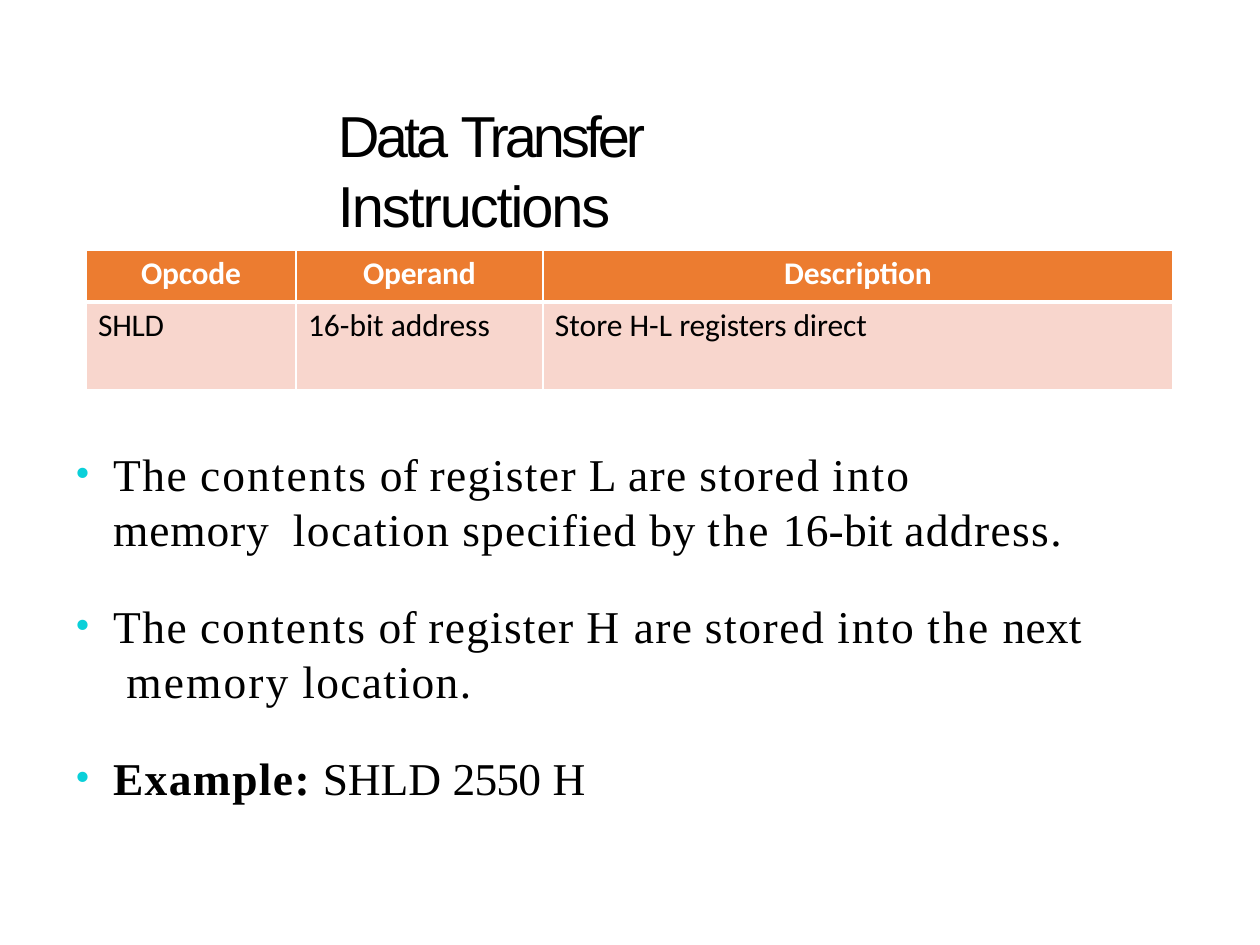
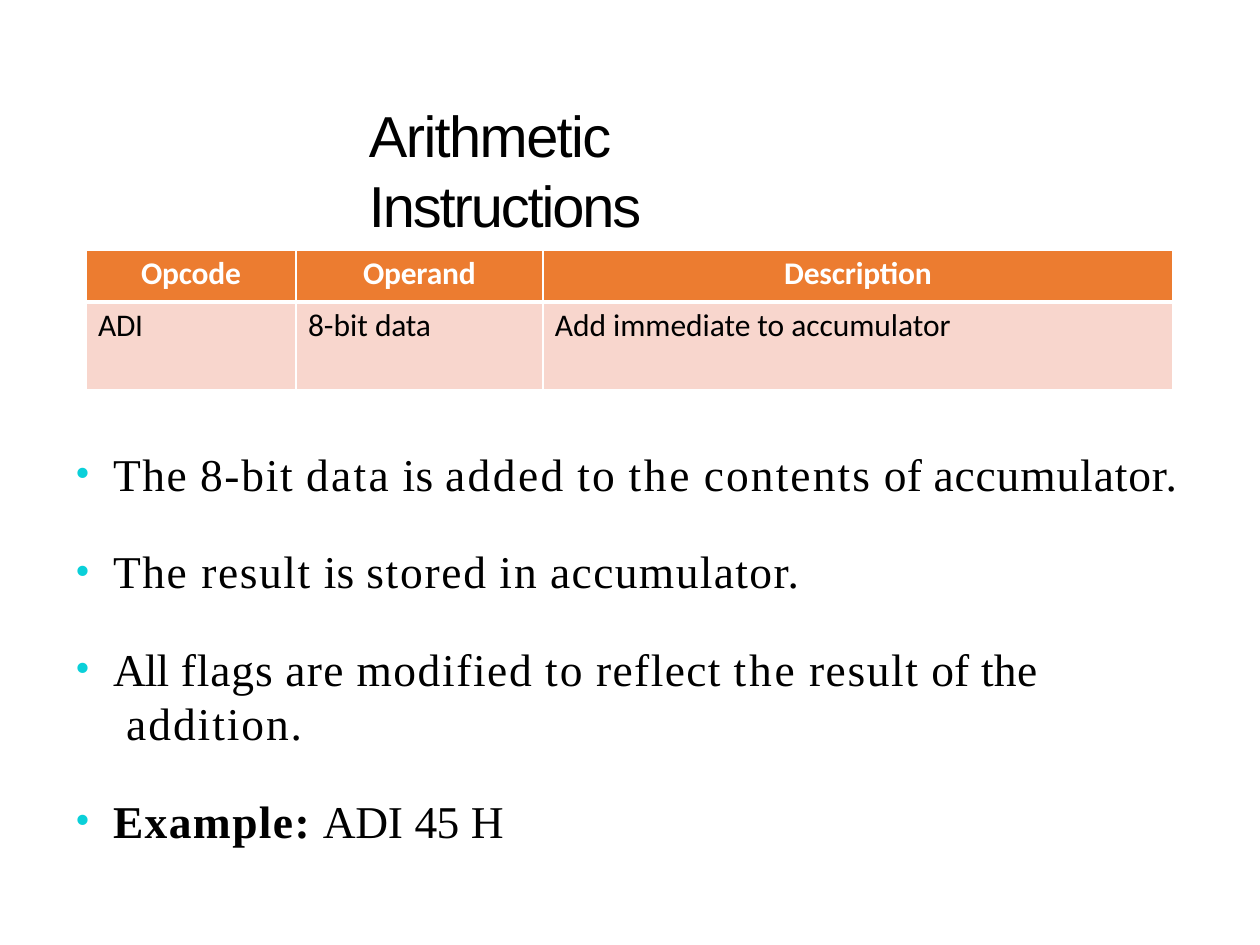
from dataclasses import dataclass
from lxml.etree import SubElement
from pptx import Presentation
from pptx.dml.color import RGBColor
from pptx.enum.text import MSO_ANCHOR, MSO_AUTO_SIZE, PP_ALIGN
from pptx.oxml.ns import qn
from pptx.util import Pt

SCALE = 914400 // 126
BREAK = ("\v", 0)


@dataclass(frozen=True)
class Theme:
    ink: str = "000000"
    paper: str = "FFFFFF"
    head: str = "EC7C30"
    row: str = "F8D6CD"
    dot: str = "0AD0D9"
    title: tuple = ("Arial", 33)
    body: tuple = ("Times New Roman", 26)
    cell: tuple = ("Calibri", 18)
    gap: float = 24.5


def px(num):
    return num * SCALE


def put(par, text, font, color, bold=False, track=0):
    run = par.add_run()
    run.text = text
    run.font.name, size = font
    run.font.size = Pt(size)
    run.font.bold = bold
    run.font.color.rgb = RGBColor.from_string(color)
    run.font._element.set("spc", str(round(track * 100)))


def indent(par, left, first=0):
    props = par._p.get_or_add_pPr()
    props.set("marL", str(px(left)))
    props.set("indent", str(px(first)))
    return props


class Deck:
    def __init__(self, theme):
        self.theme = theme
        self.file = Presentation()
        self.file.slide_width, self.file.slide_height = px(1260), px(945)

    def page(self):
        self.slide = self.file.slides.add_slide(self.file.slide_layouts[1])
        fill = self.slide.background.fill
        fill.solid()
        fill.fore_color.rgb = RGBColor.from_string(self.theme.paper)

    def frame(self, shape, box, top):
        shape.left, shape.top, shape.width, shape.height = map(px, box)
        text = shape.text_frame
        text.word_wrap = True
        text.auto_size = MSO_AUTO_SIZE.SHAPE_TO_FIT_TEXT
        text.vertical_anchor = MSO_ANCHOR.TOP
        text.margin_left = text.margin_right = text.margin_bottom = 0
        text.margin_top = px(top)
        return text

    def title(self, runs, left, width):
        text = self.frame(self.slide.shapes.title, (left, 98, width, 73), 2)
        par = text.paragraphs[0]
        par.alignment = PP_ALIGN.LEFT
        par.line_spacing = 1.0
        par.space_before = Pt(1.1)
        indent(par, 1)
        for word, track in runs:
            put(par, word, self.theme.title, self.theme.ink, track=track)

    def edge(self, cell, side, width):
        line = SubElement(cell._tc.get_or_add_tcPr(), qn(f"a:ln{side}"), w=str(Pt(width)))
        fill = SubElement(line, qn("a:solidFill"))
        SubElement(fill, qn("a:srgbClr"), val=self.theme.paper)

    def cell(self, cell, runs, left, head):
        for side in "LRTB":
            self.edge(cell, side, 3 if side == ("B" if head else "T") else 1)
        cell.fill.solid()
        cell.fill.fore_color.rgb = RGBColor.from_string(
            self.theme.head if head else self.theme.row)
        cell.margin_left = cell.margin_right = cell.margin_bottom = 0
        cell.margin_top = px(5)
        par = cell.text_frame.paragraphs[0]
        par.space_before = Pt(2.5)
        par.alignment = PP_ALIGN.LEFT if left else PP_ALIGN.CENTER
        indent(par, left)
        color = self.theme.paper if head else self.theme.ink
        for word, track in runs:
            put(par, word, self.theme.cell, color, bold=head, track=track)

    def table(self, data):
        cols, rows = (210, 247, 630), (52, 88)
        grid = self.slide.shapes.add_table(
            2, 3, px(86), px(250), px(sum(cols)), px(sum(rows))).table
        for col, width in zip(grid.columns, cols):
            col.width = px(width)
        for row, height in zip(grid.rows, rows):
            row.height = px(height)
        heads = (("Opcode", 55), ("Operand", 67), ("Description", 0))
        for at, (name, left) in enumerate(heads):
            self.cell(grid.cell(0, at), [(name, -.1)], left, True)
            self.cell(grid.cell(1, at), data[at], 12, False)

    def dot(self, props):
        color = SubElement(props, qn("a:buClr"))
        SubElement(color, qn("a:srgbClr"), val=self.theme.dot)
        SubElement(props, qn("a:buSzPct"), val="94000")
        SubElement(props, qn("a:buFont"), typeface=self.theme.body[0])
        SubElement(props, qn("a:buChar"), char="•")

    def words(self, par, runs):
        look = {"font": self.theme.body, "color": self.theme.ink}
        for word, track in runs:
            core = word.rstrip(" ")
            if (word, track) == BREAK:
                par.add_line_break()
            elif core and core != word:
                put(par, core, bold=core == "Example:", track=track, **look)
                put(par, " ", **look)
            else:
                put(par, word, track=track, **look)

    def bullets(self, items, width, height):
        text = self.frame(self.slide.placeholders[1], (74, 445, width, height), 1)
        for at, runs in enumerate(items):
            par = text.add_paragraph() if at else text.paragraphs[0]
            par.alignment = PP_ALIGN.LEFT
            par.line_spacing = 1.0
            par.space_before = Pt(self.theme.gap if at else .9)
            par.space_after = Pt(0)
            self.dot(indent(par, 39, -38))
            self.words(par, runs)


def main():
    deck = Deck(Theme())

    deck.page()
    deck.title([("Data ", -2.2), ("Transfer ", -2.3), ("Instructions", -1.2)], 337, 575)
    deck.table([
        [("SHLD", -.1)],
        [("16-bit address", 0)],
        [("Store H-L ", 0), ("registers ", -.1), ("direct", -.05)],
    ])
    deck.bullets([
        [("The ", .9), ("contents ", 1.2), ("of ", .1), ("register ", .8),
         ("L ", -1.5), ("are ", .8), ("stored ", 1), ("into", 1.1), BREAK,
         ("memory", .5), (" ", 6.5), ("location ", .8), ("specified ", .7),
         ("by ", .3), ("the ", 1.6), ("16-bit ", .1), ("address.", .8)],
        [("The ", .9), ("contents ", 1.1), ("of ", .1), ("register ", .7),
         ("H ", 1.7), ("are ", .8), ("stored ", .9), ("into ", 1.1),
         ("the ", 1.6), ("next", .1), BREAK, (" memory ", 1.2), ("location.", .8)],
        [("Example: ", .8), ("SHLD ", -.1), ("2550 ", -.5), ("H", 1.7)],
    ], 1020, 360)

    deck.page()
    deck.title([("Arithmetic ", -.9), ("Instructions", -1.2)], 368, 515)
    deck.table([
        [("ADI", -.1)],
        [("8-bit ", 0), ("data", -.1)],
        [("Add immediate to accumulator", -.02)],
    ])
    deck.bullets([
        [("The ", .9), ("8-bit ", 1), ("data ", 1.3), ("is ", .2),
         ("added ", 1.4), ("to ", 1.2), ("the ", 1.6), ("contents ", 1.2),
         ("of ", .1), ("accumulator.", .5)],
        [("The result ", .9), ("is ", .2), ("stored ", 1), ("in ", 1.1),
         ("accumulator.", .8)],
        [("All ", -.5), ("flags ", .5), ("are ", .8), ("modified ", .9),
         ("to ", 1.2), ("reflect ", .8), ("the ", 1.6), ("result ", .9),
         ("of ", .1), ("the", .2), BREAK, (" addition.", 1.1)],
        [("Example: ", .8), ("ADI ", -.2), ("45 ", -.4), ("H", 1.7)],
    ], 1115, 403)

    deck.file.save("out.pptx")


if __name__ == "__main__":
    main()
